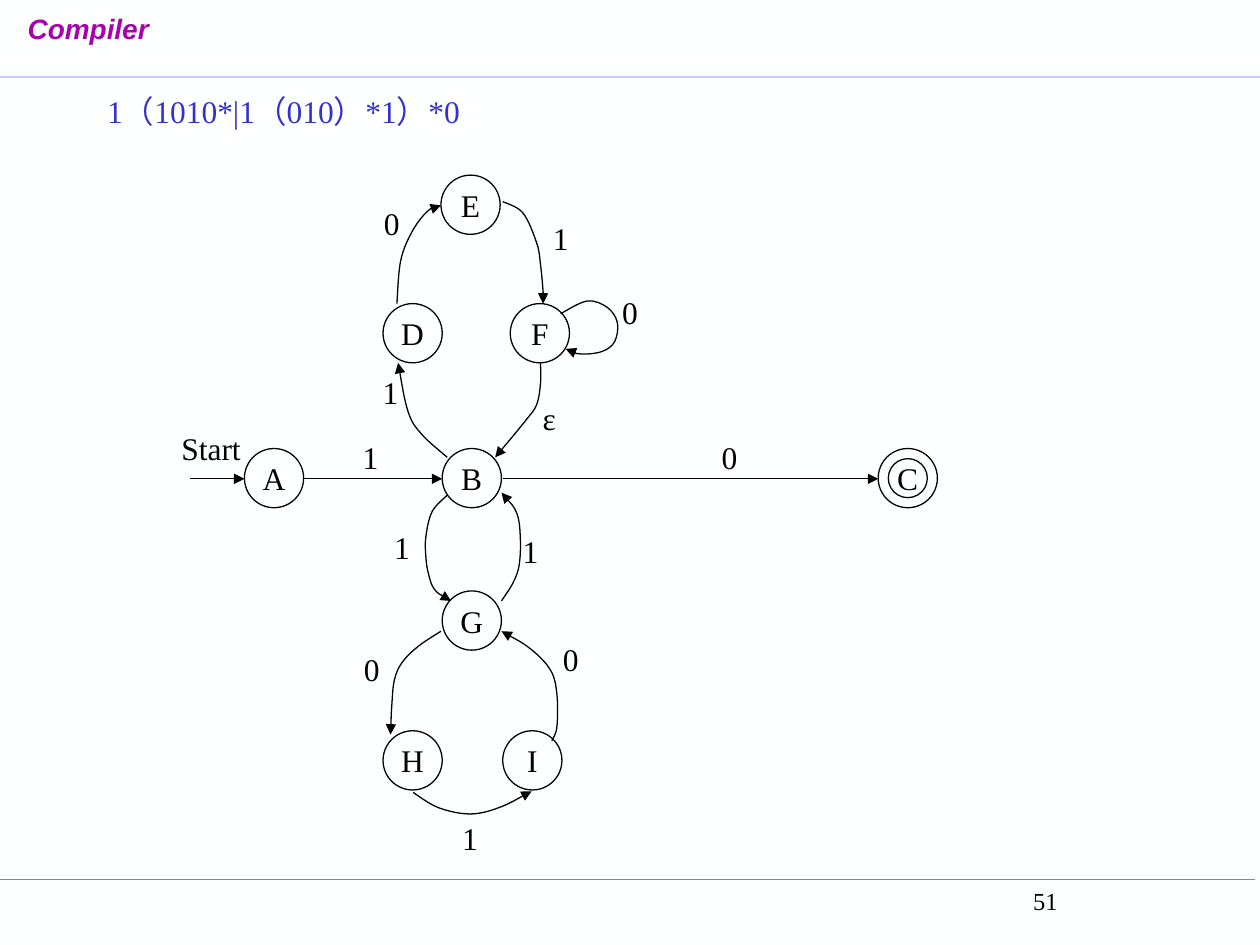
"""Builds the slide with the finite automaton for a regular expression."""
from dataclasses import dataclass

from pptx import Presentation
from pptx.dml.color import RGBColor
from pptx.enum.shapes import MSO_CONNECTOR as Connector, MSO_SHAPE as Shape
from pptx.enum.text import MSO_ANCHOR as Anchor, MSO_AUTO_SIZE as AutoSize, PP_ALIGN as Align
from pptx.oxml.ns import qn
from pptx.oxml.xmlchemy import OxmlElement
from pptx.util import Emu, Pt

PX = 9144


@dataclass(frozen=True)
class TextStyle:
    color: str
    size: int
    font: str = "Times New Roman"
    bold: bool = False
    italic: bool = False


@dataclass(frozen=True)
class Theme:
    background: str = "FEFFFF"
    ink: str = "000000"
    header_rule: str = "CCCCFF"
    footer_rule: str = "00CC99"
    thin: float = 0.75
    header: TextStyle = TextStyle("A603AB", 16, "Arial", True, True)
    formula: TextStyle = TextStyle("3333CC", 18)
    body: TextStyle = TextStyle("000000", 18)
    page: TextStyle = TextStyle("000000", 14)


@dataclass(frozen=True)
class State:
    name: str
    left: int
    top: int
    size: int = 47


@dataclass(frozen=True)
class Label:
    text: str
    left: int
    top: int
    width: int = 32
    height: int = 40


@dataclass(frozen=True)
class Rule:
    start: tuple[int, int]
    end: tuple[int, int]
    color: str
    width: float
    arrow: bool = False


THEME = Theme()
AXIS = 380

RULES = [
    Rule((0, 698), (996, 698), THEME.footer_rule, THEME.thin),
    Rule((0, 61), (1000, 61), THEME.header_rule, 1),
    *(Rule((start, AXIS), (end, AXIS), THEME.ink, THEME.thin, True)
      for start, end in [(151, 194), (241, 351), (399, 697)]),
]

STATES = [
    State("A", 194, 356), State("B", 351, 356), State("C", 697, 356),
    State("D", 304, 241), State("E", 350, 139), State("F", 405, 241),
    State("G", 351, 469), State("H", 304, 580), State("I", 399, 580),
    State("", 705, 364, 31),
]

LABELS = [
    Label("Start", 134, 336, 67), Label("1", 278, 343), Label("0", 563, 343),
    Label("1", 294, 291), Label("0", 295, 157), Label("1", 429, 169),
    Label("0", 484, 228), Label("ε", 421, 312, 30), Label("1", 303, 414),
    Label("1", 405, 417), Label("0", 279, 511), Label("1", 357, 645),
    Label("0", 437, 503),
]

CURVES = {
    "B-D": [(355, 363), (335, 345), (324, 327), (316, 288)],
    "D-E": [(315, 241), (318, 207), (327, 184), (339, 168), (350, 163)],
    "E-F": [(399, 160), (415, 169), (426, 193), (429, 210), (431, 231), (431, 241)],
    "F-B": [(429, 288), (429, 304), (426, 321), (417, 334), (393, 363)],
    "F-F": [(445, 249), (466, 239), (482, 244), (490, 256),
            (488, 271), (478, 279), (461, 281), (449, 277)],
    "B-G": [(355, 393), (343, 406), (338, 426), (338, 442), (340, 455), (345, 468), (358, 477)],
    "G-B": [(398, 477), (407, 463), (412, 449), (413, 427), (410, 407), (398, 391)],
    "G-H": [(350, 501), (332, 513), (319, 526), (313, 540), (311, 560), (310, 583)],
    "H-I": [(328, 629), (348, 641), (373, 646), (396, 641), (422, 628)],
    "I-G": [(438, 588), (442, 577), (442, 551), (437, 532), (421, 515), (398, 501)],
}


def box(*lengths: int) -> list[Emu]:
    """Turn px lengths into EMU."""
    return [Emu(length * PX) for length in lengths]


def write(shape, text: str, style: TextStyle, align=Align.CENTER, anchor=Anchor.TOP,
          margin_left: int = 10) -> None:
    """Put one formatted line of text into a shape."""
    frame = shape.text_frame
    frame.text = text
    margins = dict(zip(("margin_left", "margin_top", "margin_right", "margin_bottom"),
                       box(margin_left, 5, 10, 5)))
    frame_format = {"word_wrap": False, "auto_size": AutoSize.NONE,
                    "vertical_anchor": anchor, **margins}
    for name, value in frame_format.items():
        setattr(frame, name, value)
    paragraph = frame.paragraphs[0]
    paragraph.alignment = align
    font = paragraph.runs[0].font
    font_format = {"name": style.font, "size": Pt(style.size),
                   "bold": style.bold, "italic": style.italic}
    for name, value in font_format.items():
        setattr(font, name, value)
    font.color.rgb = RGBColor.from_string(style.color)


def stroke(shape, color: str, width: float, arrow: bool = False) -> None:
    """Set the outline of a shape, with an arrowhead at its end if asked."""
    shape.line.color.rgb = RGBColor.from_string(color)
    shape.line.width = Pt(width)
    if arrow:
        head = OxmlElement("a:tailEnd")
        head.set("type", "triangle")
        shape.element.spPr.find(qn("a:ln")).append(head)


def draw_rule(slide, rule: Rule) -> None:
    """Draw a straight line or arrow."""
    connector = slide.shapes.add_connector(Connector.STRAIGHT, *box(*rule.start, *rule.end))
    stroke(connector, rule.color, rule.width, rule.arrow)
    connector.element.spPr.append(OxmlElement("a:effectLst"))


def draw_state(slide, state: State) -> None:
    """Draw a state as a circle with its name."""
    circle = slide.shapes.add_shape(
        Shape.OVAL, *box(state.left, state.top, state.size, state.size))
    circle.shadow.inherit = False
    circle.fill.background()
    stroke(circle, THEME.ink, THEME.thin)
    if state.name:
        write(circle, state.name, THEME.body, anchor=Anchor.MIDDLE)


def draw_label(slide, label: Label, style: TextStyle, **options) -> None:
    """Draw a text box."""
    text_box = slide.shapes.add_textbox(*box(label.left, label.top, label.width, label.height))
    write(text_box, label.text, style, **options)


def spline(knots: list[tuple[int, int]]) -> list[tuple[float, float]]:
    """Return two control points and an end point for each span between knots."""
    padded = [knots[0], *knots, knots[-1]]
    points = []
    for before, start, end, after in zip(padded, padded[1:], padded[2:], padded[3:]):
        points += [
            tuple(s + (e - b) / 6 for b, s, e in zip(before, start, end)),
            tuple(e - (a - s) / 6 for s, e, a in zip(start, end, after)),
            end,
        ]
    return points


def draw_curve(slide, knots: list[tuple[int, int]]) -> None:
    """Draw a smooth arrow through the knots."""
    start_x, start_y = box(*knots[0])
    builder = slide.shapes.build_freeform(start_x, start_y)
    builder.add_line_segments([(x * PX, y * PX) for x, y in spline(knots)], close=False)
    curve = builder.convert_to_shape()
    outline = next(curve.element.iter(qn("a:path")))
    segments = outline.findall(qn("a:lnTo"))
    for index in range(0, len(segments), 3):
        bezier = OxmlElement("a:cubicBezTo")
        for segment in segments[index:index + 3]:
            bezier.append(segment[0])
            outline.remove(segment)
        outline.append(bezier)
    curve.shadow.inherit = False
    curve.fill.background()
    stroke(curve, THEME.ink, THEME.thin, arrow=True)


def main() -> None:
    """Build and save the presentation."""
    presentation = Presentation()
    presentation.slide_width, presentation.slide_height = box(1000, 750)
    slide = presentation.slides.add_slide(presentation.slide_layouts[5])
    slide.background.fill.solid()
    slide.background.fill.fore_color.rgb = RGBColor.from_string(THEME.background)

    title = slide.shapes.title
    title.left, title.top, title.width, title.height = box(12, 4, 130, 56)
    write(title, "Compiler", THEME.header, align=Align.LEFT)

    for rule in RULES:
        draw_rule(slide, rule)
    for state in STATES:
        draw_state(slide, state)
    for knots in CURVES.values():
        draw_curve(slide, knots)
    for label in LABELS:
        draw_label(slide, label, THEME.body)
    draw_label(slide, Label("1（1010*|1（010）*1）*0", 51, 68, 348), THEME.formula)
    draw_label(slide, Label("51", 689, 698, 307, 50), THEME.page,
               align=Align.LEFT, margin_left=131)
    presentation.save("out.pptx")


if __name__ == "__main__":
    main()
